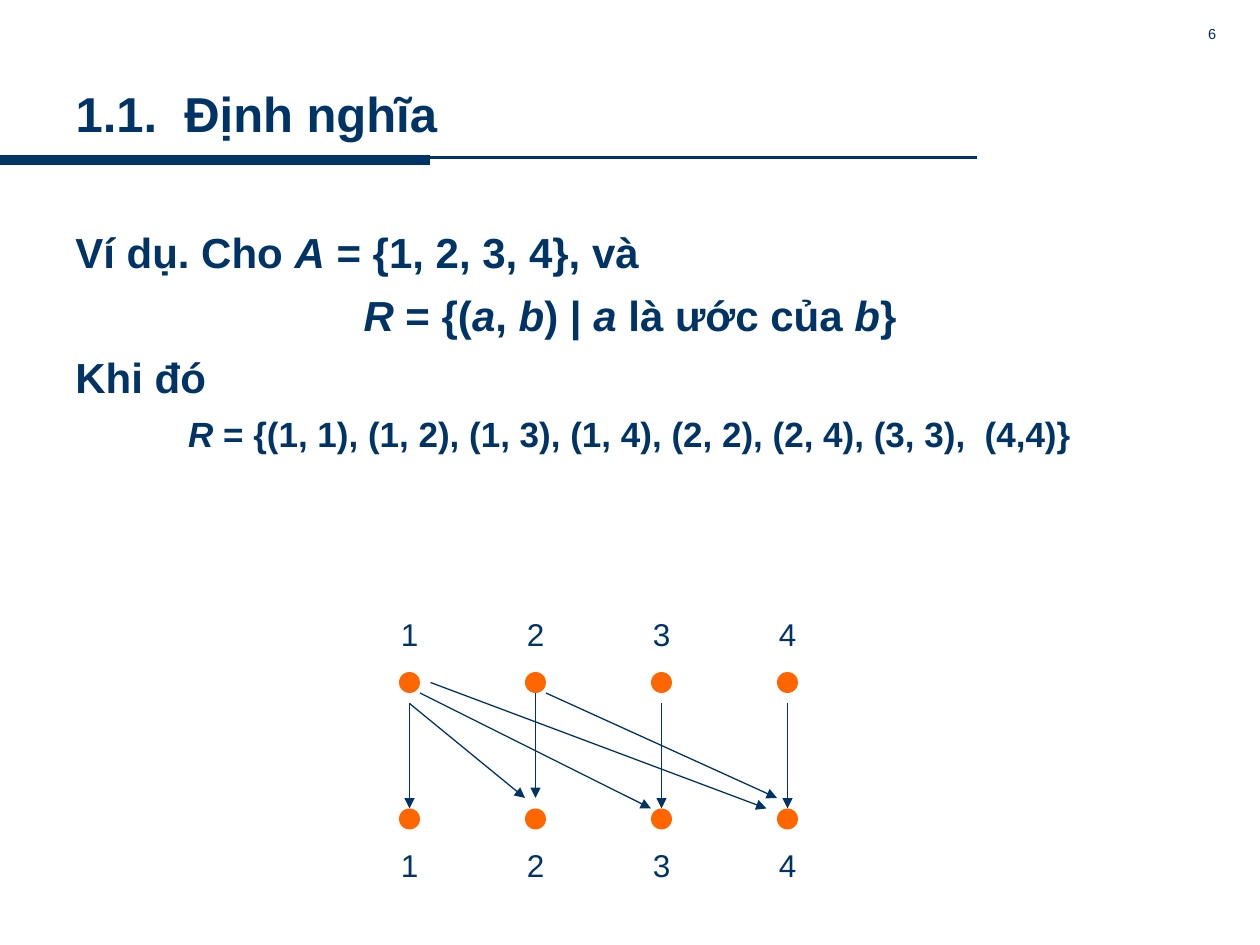
"""Build the slide defining a relation, with its arrow diagram."""
from lxml import etree
from pptx import Presentation
from pptx.dml.color import RGBColor
from pptx.enum.shapes import MSO_CONNECTOR, MSO_SHAPE
from pptx.enum.text import MSO_ANCHOR, PP_ALIGN
from pptx.oxml.ns import qn
from pptx.util import Pt

LEFT, MID, RIGHT = PP_ALIGN.LEFT, PP_ALIGN.CENTER, PP_ALIGN.RIGHT
TOP, CENTRE = MSO_ANCHOR.TOP, MSO_ANCHOR.MIDDLE
LINE = MSO_CONNECTOR.STRAIGHT
OVAL = MSO_SHAPE.OVAL
NAVY = RGBColor(0x00, 0x33, 0x66)
ORANGE = RGBColor(0xFF, 0x66, 0x00)

deck = Presentation()
deck.slide_width, deck.slide_height = Pt(720), Pt(540)
slide = deck.slides.add_slide(deck.slide_layouts[5])
shapes = slide.shapes


def write(text, spot, size=18, bold=False, align=LEFT, anchor=TOP, gap=0, ratio=1, shape=None, para=None):
    """Write text whose starred parts are italic, in a given or new box."""
    if para is None:
        box = shape or shapes.add_textbox(0, 0, 0, 0)
        box.left, box.top, box.width, box.height = map(Pt, spot)
        frame = box.text_frame
        frame.word_wrap = True
        frame.vertical_anchor = anchor
        para = frame.paragraphs[0]
    para.alignment = align
    para.space_before = Pt(gap)
    para.line_spacing = ratio
    for i, part in enumerate(text.split("*")):
        if part:
            run = para.add_run()
            run.text = part
            font = run.font
            font.name, font.size, font.bold = "Arial", Pt(size), bold
            font.italic = i % 2 == 1
            font.color.rgb = NAVY
    return shape or (box if spot else None)


def draw(x1, y1, x2, y2, width, arrow=False):
    """Draw a navy line, with an arrowhead at its end if asked."""
    link = shapes.add_connector(LINE, Pt(x1), Pt(y1), Pt(x2), Pt(y2))
    link.line.color.rgb = NAVY
    link.line.width = Pt(width)
    props = link._element.spPr
    if arrow:
        etree.SubElement(props.find(qn("a:ln")), qn("a:tailEnd"), type="triangle")
    etree.SubElement(props, qn("a:effectLst"))


draw(558, 90, 0, 90, 1.5)
draw(0, 91.5, 246, 91.5, 6)
write("1.1.  Định nghĩa", (36, 42, 606, 45), size=28, bold=True, anchor=CENTRE, shape=shapes.title)

body = write("Ví dụ. Cho *A* = {1, 2, 3, 4}, và", (36, 126, 648, 174), size=24, bold=True)
rows = [
    ("*R* = {(*a*, *b*) | *a* là ước của *b*}", 24, MID, 6.9),
    ("Khi đó", 24, LEFT, 6.9),
    ("*R* = {(1, 1), (1, 2), (1, 3), (1, 4), (2, 2), (2, 4), (3, 3),  (4,4)}", 20, MID, 5.75),
]
for text, size, align, gap in rows:
    write(text, None, size=size, bold=True, align=align, gap=gap, para=body.text_frame.add_paragraph())

for dot_y, text_y in ((384, 348), (462, 480)):
    for i in range(4):
        x = 228 + 72 * i
        dot = shapes.add_shape(OVAL, Pt(x), Pt(dot_y), Pt(12), Pt(12))
        dot.shadow.inherit = False
        dot.fill.solid()
        dot.fill.fore_color.rgb = ORANGE
        dot.line.fill.background()
        write(str(i + 1), (x - 6, text_y, 36, 28.8))

arrows = [
    (234, 402, 234, 462),
    (306, 396, 306, 456),
    (378, 402, 378, 462),
    (450, 402, 450, 462),
    (234, 402, 300, 456),
    (240, 396, 372, 462),
    (246, 390, 438, 462),
    (312, 396, 444, 456),
]
for ends in arrows:
    draw(*ends, 0.75, arrow=True)

write("6", (564, 12, 138, 18), size=8.3, align=RIGHT, ratio=0.9)

deck.save("out.pptx")
